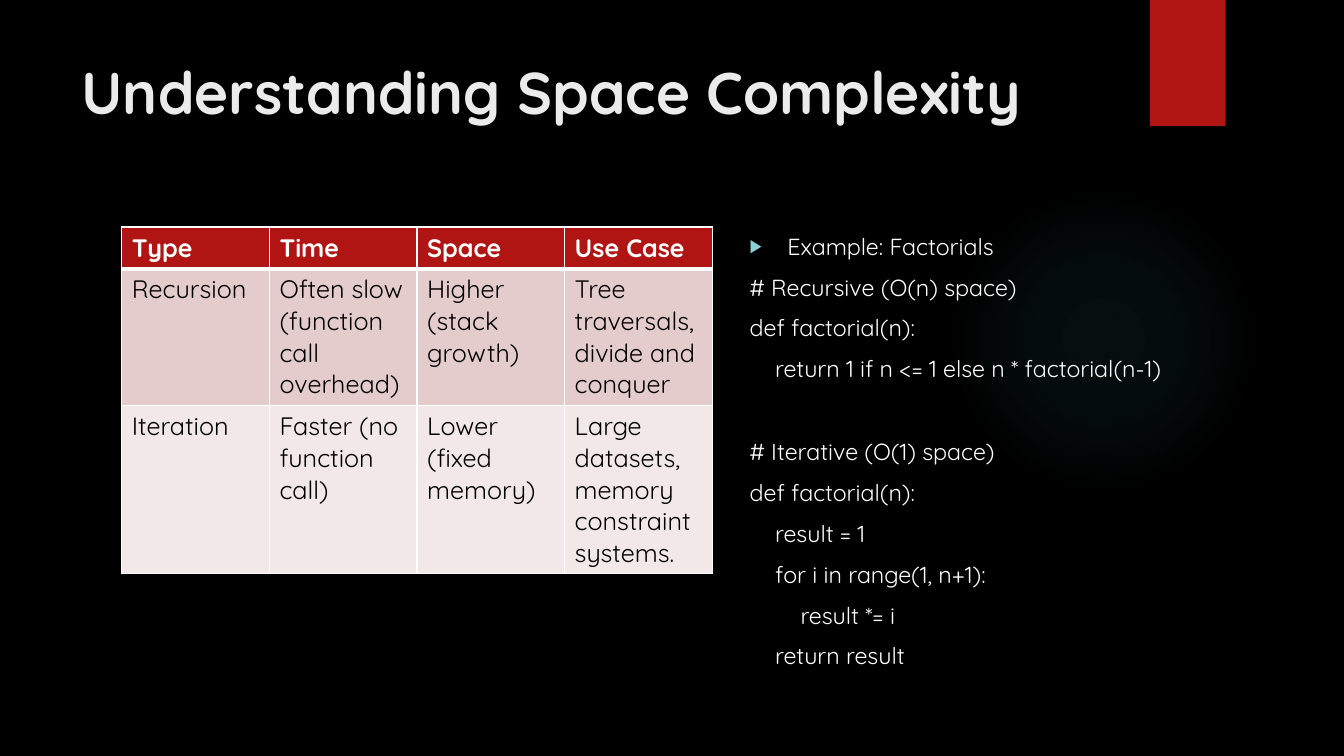
"""Build a slide comparing the space complexity of recursion and iteration."""
import dataclasses

import pptx
import pptx.dml.color
import pptx.enum.shapes
import pptx.enum.text
import pptx.oxml
import pptx.oxml.ns
import pptx.util

Cm = pptx.util.Cm
Pt = pptx.util.Pt
RGB = pptx.dml.color.RGBColor.from_string


@dataclasses.dataclass(frozen=True)
class Theme:
    font: str = "Quicksand"
    background: str = "000000"
    accent: str = "B01513"
    glow: str = "50B9C1"
    bullet: str = "8AD0D6"
    title: str = "EBEBEB"
    light: str = "FFFFFF"
    dark: str = "000000"
    bands: tuple = ("E4CCCC", "F2E8E7")
    title_size: float = 42
    table_size: float = 18
    code_size: float = 16.6


theme = Theme()


def format_font(paragraph, size, color, bold=False):
    font = paragraph.runs[0].font
    values = {"name": theme.font, "size": Pt(size), "bold": bold}
    for name, value in values.items():
        setattr(font, name, value)
    font.color.rgb = RGB(color)


def add_xml(parent, markup):
    namespace = pptx.oxml.ns.nsdecls("a")
    wrapper = pptx.oxml.parse_xml(f"<a:wrapper {namespace}>{markup}</a:wrapper>")
    for element in list(wrapper):
        parent.append(element)


presentation = pptx.Presentation()
presentation.slide_width = Cm(33.87)
presentation.slide_height = Cm(19.05)
slide = presentation.slides.add_slide(presentation.slide_layouts[1])
slide.background.fill.solid()
slide.background.fill.fore_color.rgb = RGB(theme.background)
title = slide.shapes.title
code = slide.placeholders[1]

shape_kinds = pptx.enum.shapes.MSO_SHAPE
glow = slide.shapes.add_shape(shape_kinds.OVAL, Cm(23.9), Cm(4.65), Cm(7.82), Cm(7.82))
banner = slide.shapes.add_shape(shape_kinds.RECTANGLE, Cm(28.98), 0, Cm(1.91), Cm(3.18))
for shape in (glow, banner):
    shape.shadow.inherit = False
    shape.line.fill.background()
    title.element.addprevious(shape.element)
banner.fill.solid()
banner.fill.fore_color.rgb = RGB(theme.accent)

glow.fill.gradient()
gradient = glow.element.spPr.find(pptx.oxml.ns.qn("a:gradFill"))
for child in list(gradient):
    gradient.remove(child)
stops = "".join(
    f'<a:gs pos="{position * 1000}"><a:srgbClr val="{theme.glow}">'
    f'<a:alpha val="{alpha * 1000}"/></a:srgbClr></a:gs>'
    for position, alpha in ((0, 7), (36, 6), (69, 0))
)
add_xml(
    gradient,
    f'<a:gsLst>{stops}</a:gsLst><a:path path="circle">'
    '<a:fillToRect l="50000" t="50000" r="50000" b="50000"/></a:path>',
)

placements = (
    (title, (1.8, 1.27, 26.14, 3.89)),
    (code, (18.64, 5.72, 12.22, 11.66)),
)
frame_values = {
    "word_wrap": True,
    "auto_size": pptx.enum.text.MSO_AUTO_SIZE.NONE,
    "vertical_anchor": pptx.enum.text.MSO_ANCHOR.TOP,
}
for shape, box in placements:
    for name, value in zip(("left", "top", "width", "height"), box):
        setattr(shape, name, Cm(value))
    for name, value in frame_values.items():
        setattr(shape.text_frame, name, value)

title.text_frame.text = "Understanding Space Complexity"
heading = title.text_frame.paragraphs[0]
heading.alignment = pptx.enum.text.PP_ALIGN.LEFT
format_font(heading, theme.title_size, theme.title, bold=True)

table_rows = (
    ("Type", "Time", "Space", "Use Case"),
    (
        "Recursion",
        "Often slow (function call overhead)",
        "Higher (stack growth)",
        "Tree traversals, divide and conquer",
    ),
    (
        "Iteration",
        "Faster (no function call)",
        "Lower (fixed memory)",
        "Large datasets, memory constraint systems.",
    ),
)
row_heights = (1.03, 3.45, 4.24)
table = slide.shapes.add_table(
    len(table_rows), len(table_rows[0]), Cm(3.07), Cm(5.72), Cm(14.88), Cm(sum(row_heights))
).table
for column in table.columns:
    column.width = Cm(3.72)
for row_index, texts in enumerate(table_rows):
    table.rows[row_index].height = Cm(row_heights[row_index])
    header = row_index == 0
    edges = {"L": 1, "R": 1, "T": 3 if row_index == 1 else 1, "B": 3 if header else 1}
    for column_index, text in enumerate(texts):
        cell = table.cell(row_index, column_index)
        cell.text = text
        format_font(
            cell.text_frame.paragraphs[0],
            theme.table_size,
            theme.light if header else theme.dark,
            bold=header,
        )
        properties = cell._tc.get_or_add_tcPr()
        for edge, width in edges.items():
            add_xml(
                properties,
                f'<a:ln{edge} w="{Pt(width)}"><a:solidFill>'
                f'<a:srgbClr val="{theme.light}"/></a:solidFill></a:ln{edge}>',
            )
        cell.fill.solid()
        cell.fill.fore_color.rgb = RGB(theme.accent if header else theme.bands[row_index - 1])

line_gap = 9.25
section_gap = 39.25
code_lines = (
    (0, "Example: Factorials"),
    (0, "# Recursive (O(n) space)"),
    (0, "def factorial(n):"),
    (1, "return 1 if n <= 1 else n * factorial(n-1)"),
    (0, "# Iterative (O(1) space)"),
    (0, "def factorial(n):"),
    (1, "result = 1"),
    (1, "for i in range(1, n+1):"),
    (2, "result *= i"),
    (1, "return result"),
)
code.text_frame.text = "\n".join(text for depth, text in code_lines)
for index, (paragraph, (depth, text)) in enumerate(zip(code.text_frame.paragraphs, code_lines)):
    format_font(paragraph, theme.code_size, theme.light)
    paragraph.space_before = Pt(section_gap if text.startswith("# Iterative") else line_gap)
    properties = paragraph._p.get_or_add_pPr()
    bulleted = index == 0
    margin = Cm(0.95) if bulleted else Cm(0.64 * depth)
    properties.set("marL", str(margin))
    properties.set("indent", str(-margin if bulleted else 0))
    add_xml(
        properties,
        f'<a:buClr><a:srgbClr val="{theme.bullet}"/></a:buClr><a:buSzPct val="80000"/>'
        '<a:buFont typeface="Arial"/><a:buChar char="▶"/>'
        if bulleted
        else "<a:buNone/>",
    )

presentation.save("out.pptx")
